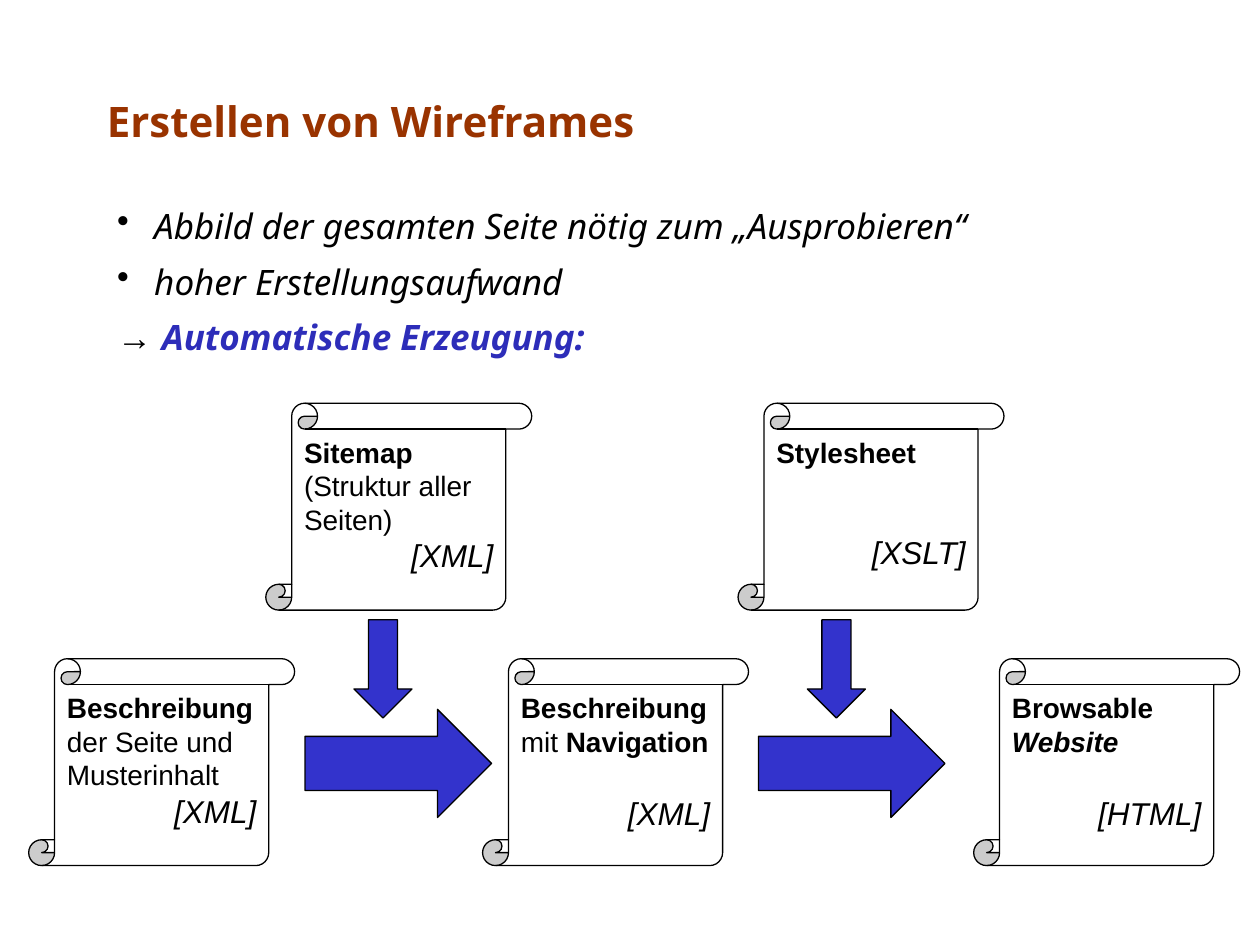
"""Build the slide on generating wireframes automatically from XML descriptions."""
import pptx
import pptx.dml.color
import pptx.enum.shapes
import pptx.enum.text
import pptx.oxml.ns
import pptx.util
from lxml import etree

Cm = pptx.util.Cm
Pt = pptx.util.Pt
SHAPES = pptx.enum.shapes.MSO_SHAPE
ALIGN = pptx.enum.text.PP_ALIGN
ANCHOR = pptx.enum.text.MSO_ANCHOR
COLORS = {"title": "993300", "accent": "2D2DB9", "arrow": "3333CC",
          "paper": "FFFFFF", "ink": "000000"}


def add_run(paragraph, text, color="ink", **formats):
    run = paragraph.add_run()
    run.text = text
    for name, value in formats.items():
        setattr(run.font, name, value)
    run.font.color.rgb = pptx.dml.color.RGBColor.from_string(COLORS[color])


def add_outlined(preset, left, top, width, height, fill):
    shape = slide.shapes.add_shape(preset, Cm(left), Cm(top), Cm(width), Cm(height))
    shape.shadow.inherit = False
    shape.fill.solid()
    shape.fill.fore_color.rgb = pptx.dml.color.RGBColor.from_string(COLORS[fill])
    shape.line.color.rgb = pptx.dml.color.RGBColor.from_string(COLORS["ink"])
    shape.line.width = Pt(0.75)
    return shape


deck = pptx.Presentation()
deck.slide_width, deck.slide_height = Cm(25.4), Cm(19.05)
slide = deck.slides.add_slide(deck.slide_layouts[5])

heading = slide.shapes.title
heading.left, heading.top, heading.width, heading.height = Cm(1.9), Cm(1.73), Cm(21.6), Cm(1.4)
heading.text_frame.vertical_anchor = ANCHOR.MIDDLE
heading.text_frame.auto_size = pptx.enum.text.MSO_AUTO_SIZE.NONE
heading_line = heading.text_frame.paragraphs[0]
heading_line.alignment = ALIGN.LEFT
add_run(heading_line, "Erstellen von Wireframes", "title",
        name="Noto Sans", size=Pt(24), bold=True)

points = slide.shapes.add_textbox(Cm(2.11), Cm(3.94), Cm(22), Cm(13.41)).text_frame
points.word_wrap = True
statements = ["Abbild der gesamten Seite nötig zum „Ausprobieren“", "hoher Erstellungsaufwand"]
for number, statement in enumerate(statements):
    point = points.paragraphs[0] if number == 0 else points.add_paragraph()
    properties = point._p.get_or_add_pPr()
    properties.set("marL", str(Cm(0.75)))
    properties.set("indent", str(-Cm(0.75)))
    etree.SubElement(properties, pptx.oxml.ns.qn("a:buChar"), char="•")
    add_run(point, statement, name="Noto Sans", size=Pt(20), italic=True)
conclusion = points.add_paragraph()
add_run(conclusion, "→ ", name="Arial", size=Pt(20), italic=True)
add_run(conclusion, "Automatische Erzeugung:", "accent",
        name="Noto Sans", size=Pt(20), italic=True, bold=True)
for point in points.paragraphs:
    point.line_spacing = 1.07
    point.space_after = Pt(6)

bold, plain, bold_italic = {"bold": True}, {"bold": False}, {"bold": True, "italic": True}
documents = [
    (0.58, 13.28, [[("Beschreibung", bold)], [("der Seite und Musterinhalt", plain)]], "[XML]", 0),
    (5.36, 8.13, [[("Sitemap", bold)], [("(Struktur aller Seiten)", plain)]], "[XML]", 0),
    (9.73, 13.28, [[("Beschreibung ", bold), ("mit ", plain), ("Navigation", bold)]], "[XML]", 20.7),
    (14.88, 8.13, [[("Stylesheet", bold)]], "[XSLT]", 36.8),
    (19.63, 13.28, [[("Browsable", bold)], [("Website", bold_italic)]], "[HTML]", 20.7),
]
for left, top, lines, file_format, gap in documents:
    scroll = add_outlined(SHAPES.VERTICAL_SCROLL, left, top, 5.36, 4.17, "paper")
    content = scroll.text_frame
    content.word_wrap = True
    content.vertical_anchor = ANCHOR.TOP
    for number, line in enumerate(lines):
        paragraph = content.paragraphs[0] if number == 0 else content.add_paragraph()
        paragraph.alignment = ALIGN.LEFT
        for text, emphasis in line:
            add_run(paragraph, text, name="Arial", size=Pt(16), **emphasis)
    format_line = content.add_paragraph()
    format_line.alignment = ALIGN.RIGHT
    format_line.space_before = Pt(gap)
    add_run(format_line, file_format, name="Arial", size=Pt(18), italic=True)

for step in range(2):
    offset = step * 9.14
    add_outlined(SHAPES.RIGHT_ARROW, 6.15 + offset, 14.3, 3.76, 2.18, "arrow")
    input_arrow = add_outlined(SHAPES.RIGHT_ARROW, 6.73 + offset, 12.9, 1.98, 1.17, "arrow")
    input_arrow.rotation = 90

deck.save("out.pptx")
